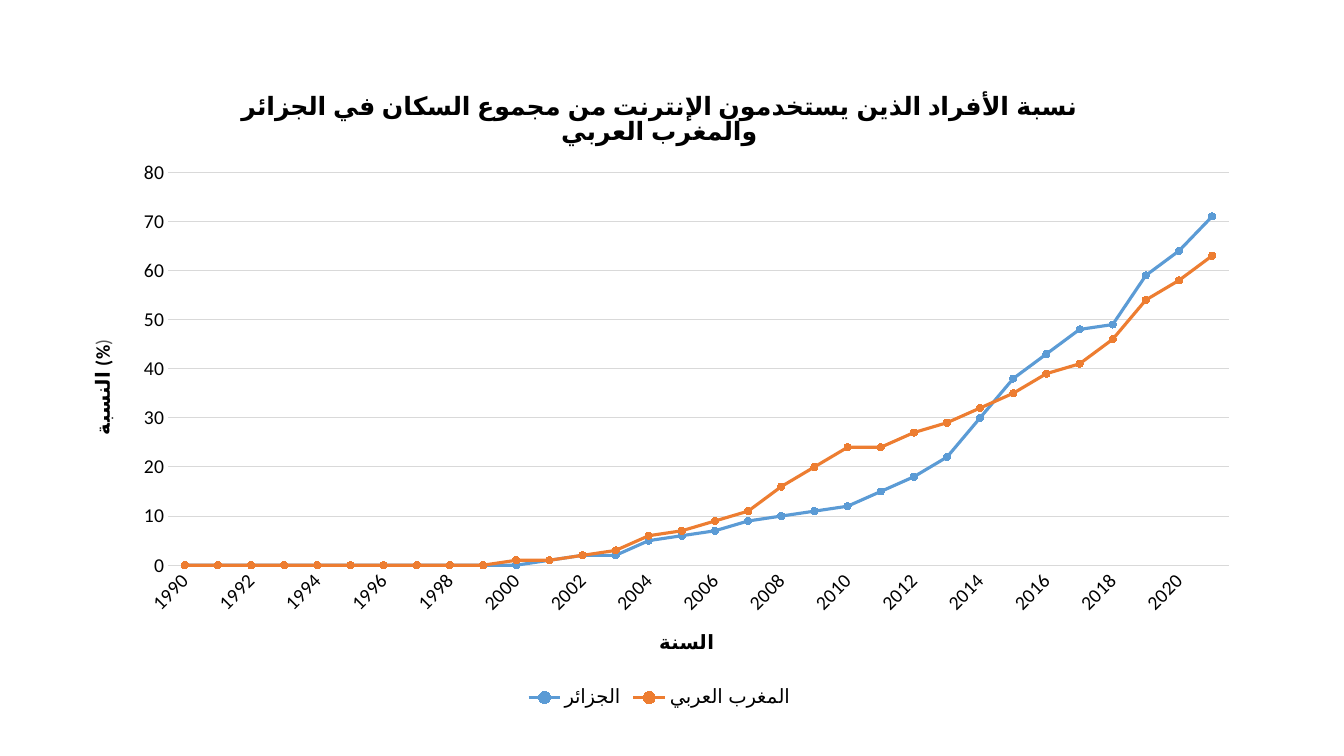
from lxml.etree import SubElement
from pptx import Presentation
from pptx.chart.data import CategoryChartData
from pptx.dml.color import RGBColor
from pptx.enum.chart import XL_CHART_TYPE, XL_LEGEND_POSITION, XL_MARKER_STYLE, XL_TICK_MARK
from pptx.oxml.ns import qn
from pptx.util import Inches, Pt

BLACK = RGBColor(0x00, 0x00, 0x00)
GREY = RGBColor(0x59, 0x59, 0x59)
GRID = RGBColor(0xD9, 0xD9, 0xD9)
BLUE = RGBColor(0x5B, 0x9B, 0xD5)
ORANGE = RGBColor(0xED, 0x7D, 0x31)

YEARS = range(1990, 2022)
INTERNET_USERS = [
    ("الجزائر", BLUE,
     [0] * 11 + [1, 2, 2, 5, 6, 7, 9, 10, 11, 12, 15, 18, 22, 30, 38, 43, 48, 49, 59, 64, 71]),
    ("المغرب العربي", ORANGE,
     [0] * 10 + [1, 1, 2, 3, 6, 7, 9, 11, 16, 20, 24, 24, 27, 29, 32, 35, 39, 41, 46, 54, 58, 63]),
]


def style_font(font, size, bold=False):
    """Set the shared typeface and colour with the given size and weight."""
    font.name = "Calibri"
    font.size = Pt(size)
    font.bold = bold
    font.color.rgb = BLACK


def write_title(titled, text, size):
    """Write a bold title on a chart or an axis and return its paragraph."""
    paragraph = titled.text_frame.paragraphs[0]
    paragraph.add_run().text = text
    style_font(paragraph.font, size, bold=True)
    return paragraph


def set_plot_layout(chart, **fractions):
    """Fix the inner plot area as fractions of the chart."""
    plot_area = chart._chartSpace.chart.plotArea
    for old_layout in plot_area.findall(qn("c:layout")):
        plot_area.remove(old_layout)
    layout = SubElement(plot_area, qn("c:layout"))
    plot_area.insert(0, layout)
    manual = SubElement(layout, qn("c:manualLayout"))
    settings = {"layoutTarget": "inner", "xMode": "edge", "yMode": "edge", **fractions}
    for tag, value in settings.items():
        SubElement(manual, qn(f"c:{tag}")).set("val", str(value))


def style_axes(chart):
    """Format the year axis and the percentage axis."""
    years, share = chart.category_axis, chart.value_axis
    for axis in (years, share):
        axis.major_tick_mark = axis.minor_tick_mark = XL_TICK_MARK.NONE
        style_font(axis.tick_labels.font, 14)

    write_title(years.axis_title, "السنة", 14)
    years.format.line.color.rgb = GRID
    years.format.line.width = Pt(0.75)
    years._element.txPr.find(qn("a:bodyPr")).set("rot", "-2700000")
    label_skip = SubElement(years._element, qn("c:tickLblSkip"))
    label_skip.set("val", "2")
    years._element.find(qn("c:lblOffset")).addnext(label_skip)

    closing = write_title(share.axis_title, "النسبة (%", 14).add_run()
    closing.text = ")"
    closing.font.bold = False
    closing.font.color.rgb = GREY
    share.minimum_scale, share.maximum_scale, share.major_unit = 0, 80, 10
    share.format.line.fill.background()
    share.major_gridlines.format.line.color.rgb = GRID
    share.major_gridlines.format.line.width = Pt(0.75)


def style_series(series, color):
    """Draw one region as a straight line with round markers."""
    series.smooth = False
    series.format.line.color.rgb = color
    series.format.line.width = Pt(2.25)
    series.marker.style = XL_MARKER_STYLE.CIRCLE
    series.marker.size = 5
    series.marker.format.fill.solid()
    series.marker.format.fill.fore_color.rgb = color
    series.marker.format.line.color.rgb = color


def add_usage_chart(slide, left, top, width, height):
    """Place the chart of internet users in the given box."""
    usage = CategoryChartData()
    usage.categories = [str(year) for year in YEARS]
    for region, _, shares in INTERNET_USERS:
        usage.add_series(region, shares)
    chart = slide.shapes.add_chart(
        XL_CHART_TYPE.LINE_MARKERS, left, top, width, height, usage).chart
    style_font(chart.font, 10)
    chart.has_title = True
    write_title(chart.chart_title,
                "نسبة الأفراد الذين يستخدمون الإنترنت من مجموع السكان في الجزائر والمغرب العربي", 18)
    chart.has_legend = True
    chart.legend.position = XL_LEGEND_POSITION.BOTTOM
    chart.legend.include_in_layout = False
    style_font(chart.legend.font, 14)
    chart.plots[0].vary_by_categories = False
    style_axes(chart)
    for series, (_, color, _) in zip(chart.plots[0].series, INTERNET_USERS):
        style_series(series, color)
    set_plot_layout(chart, x=0.085, y=0.16, w=0.896, h=0.612)


def main():
    """Build the slide and save it."""
    deck = Presentation()
    deck.slide_width, deck.slide_height = Inches(13.33), Inches(7.5)
    slide = deck.slides.add_slide(deck.slide_layouts[6])
    add_usage_chart(slide, Inches(0.67), Inches(0.69), Inches(11.74), Inches(6.37))
    deck.save("out.pptx")


if __name__ == "__main__":
    main()
